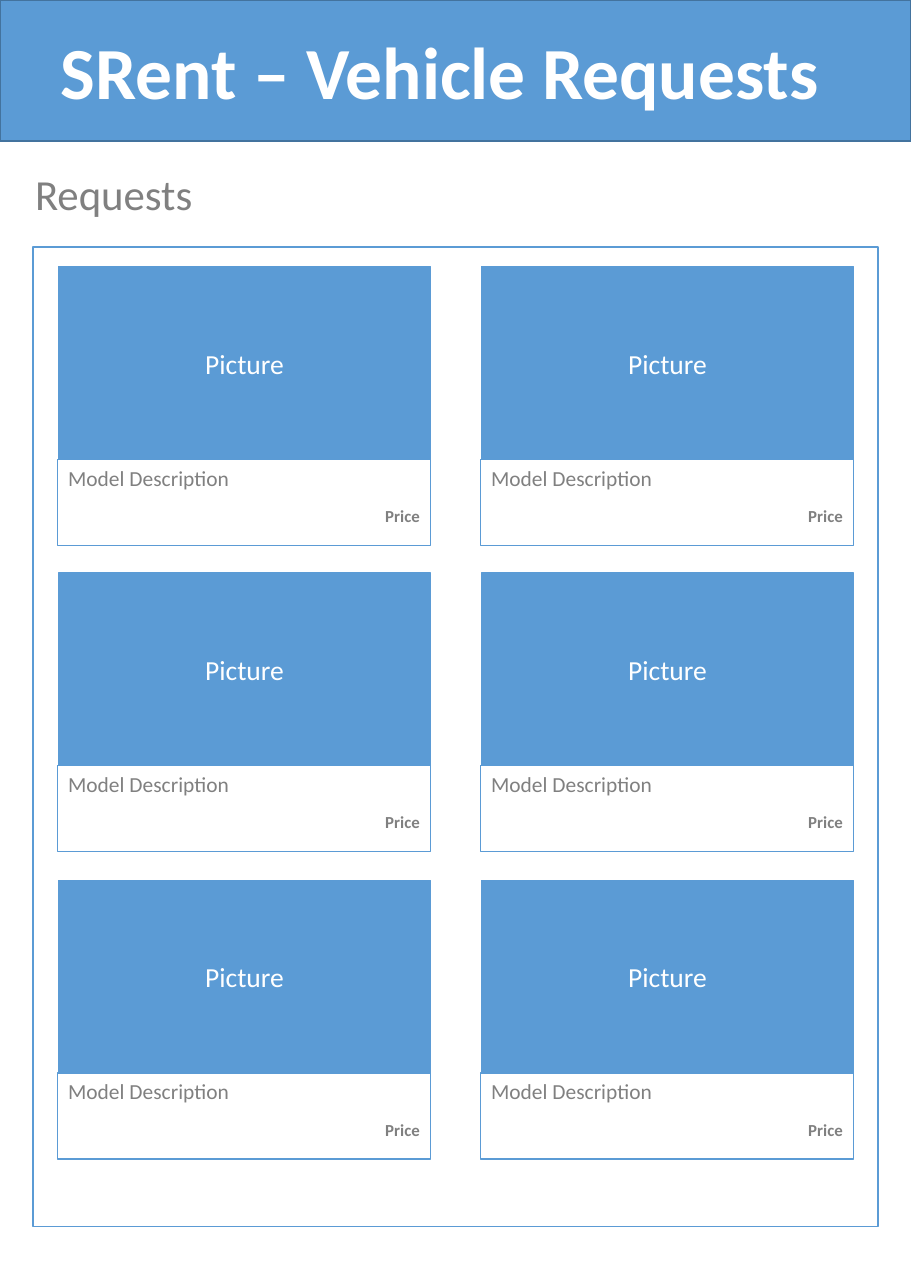
from dataclasses import dataclass
from itertools import product

from pptx import Presentation
from pptx.dml.color import RGBColor as Color
from pptx.enum.shapes import MSO_SHAPE as Shape
from pptx.enum.text import MSO_ANCHOR as Anchor, PP_ALIGN as Align
from pptx.util import Emu, Pt

EMU_PER_PX = 9144


@dataclass(frozen=True)
class Theme:
    font: str = "Calibri"
    blue: str = "5B9BD5"
    banner_line: str = "43739E"
    gray: str = "808080"
    white: str = "FFFFFF"
    title: int = 48
    heading: int = 28
    picture: int = 18
    model: int = 14
    price: int = 11
    line: int = 1


THEME = Theme()


def px(value):
    return Emu(value * EMU_PER_PX)


def write(box, text, size, color, align=Align.LEFT, bold=False):
    frame = box.text_frame
    frame.word_wrap = True
    frame.text = text
    para = frame.paragraphs[0]
    para.alignment = align
    span = para.runs[0]
    span.font.name = THEME.font
    span.font.size = Pt(size)
    span.font.bold = bold
    span.font.color.rgb = Color.from_string(color)


def add_box(shapes, left, top, width, height, fill=None, line=THEME.blue):
    box = shapes.add_shape(Shape.RECTANGLE, px(left), px(top), px(width), px(height))
    box.shadow.inherit = False
    if fill:
        box.fill.solid()
        box.fill.fore_color.rgb = Color.from_string(fill)
    else:
        box.fill.background()
    box.line.color.rgb = Color.from_string(line)
    box.line.width = Pt(THEME.line)
    box.text_frame.vertical_anchor = Anchor.MIDDLE
    return box


def add_label(shapes, left, top, width, height, text, size, **style):
    label = shapes.add_textbox(px(left), px(top), px(width), px(height))
    write(label, text, size, THEME.gray, **style)


def add_banner(shapes, title):
    banner = add_box(shapes, 0, 0, 827, 128, THEME.blue, THEME.banner_line)
    write(banner, title, THEME.title, THEME.white, bold=True)
    banner.text_frame.margin_left = px(55)


def add_vehicle_card(shapes, left, top):
    width, picture_height = 339, 175
    details_top = top + picture_height
    picture = add_box(shapes, left + 1, top, width - 1, picture_height, THEME.blue)
    write(picture, "Picture", THEME.picture, THEME.white, Align.CENTER)
    add_label(shapes, left, details_top, width, 47, "Model Description", THEME.model)
    add_label(shapes, left, details_top + 37, width, 40, "Price", THEME.price,
              align=Align.RIGHT, bold=True)
    add_box(shapes, left, details_top, width, 78)


def main():
    deck = Presentation()
    deck.slide_width, deck.slide_height = px(827), px(1169)
    page = deck.slides.add_slide(deck.slide_layouts[6])
    shapes = page.shapes

    add_banner(shapes, "SRent – Vehicle Requests")
    add_label(shapes, 22, 147, 174, 57, "Requests", THEME.heading)
    add_box(shapes, 30, 224, 767, 889)

    rows = [shapes.add_group_shape() for _ in range(3)]
    for (row, group), column in product(enumerate(rows), range(2)):
        add_vehicle_card(group.shapes, 52 + column * 384, 242 + row * 557 // 2)

    deck.save("out.pptx")


if __name__ == "__main__":
    main()
